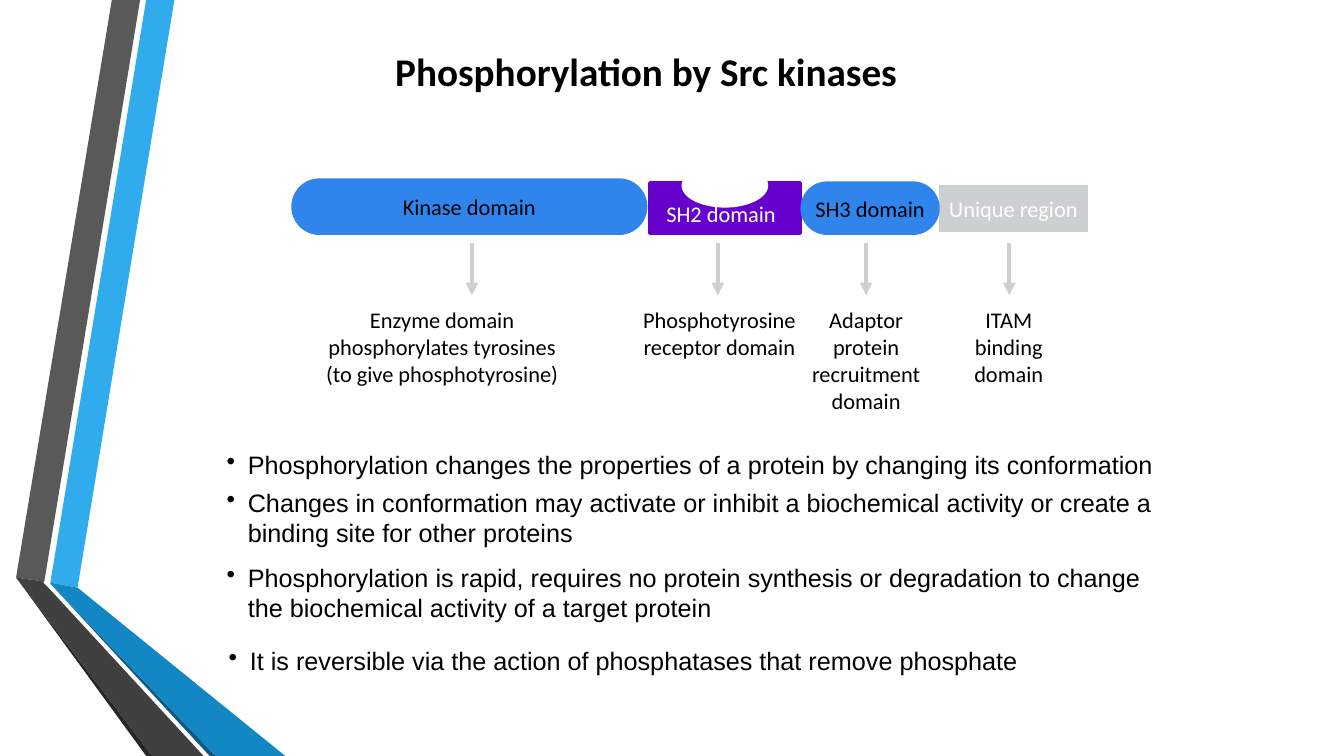
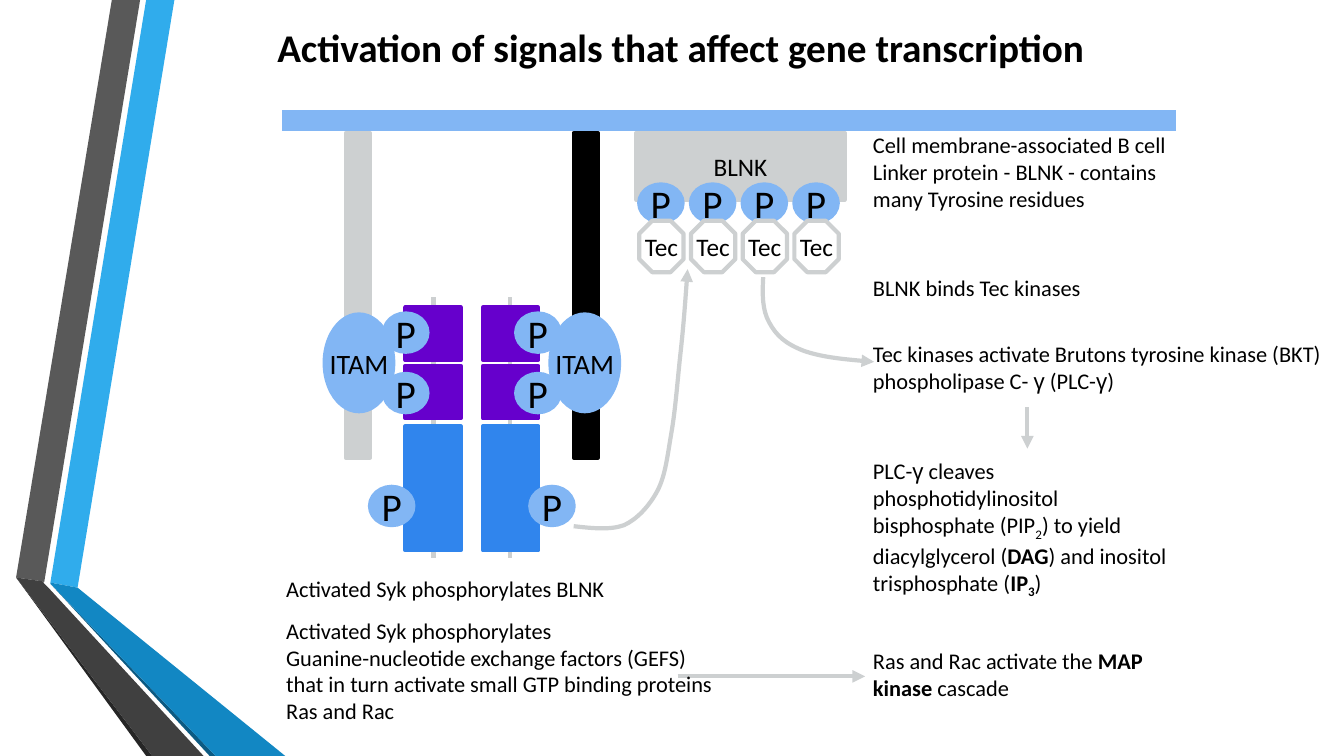
from pptx import Presentation, util as u
from pptx.dml.color import RGBColor
from pptx.enum import shapes as es, text as et
from pptx.oxml.ns import qn
from lxml import etree

BLACK = RGBColor(0, 0, 0)
WHITE = RGBColor(255, 255, 255)
BLUE = RGBColor(0x30, 0x85, 0xED)
SKY = RGBColor(0x82, 0xB6, 0xF4)
PURPLE = RGBColor(0x66, 0x00, 0xCC)
GREY = RGBColor(0xCD, 0xD0, 0xD1)
RECT, PILL, OVAL, OCTAGON = (
    es.MSO_SHAPE.RECTANGLE, es.MSO_SHAPE.ROUNDED_RECTANGLE,
    es.MSO_SHAPE.OVAL, es.MSO_SHAPE.OCTAGON)
LEFT, CENTER = et.PP_ALIGN.LEFT, et.PP_ALIGN.CENTER

RIBBONS = [
    (RGBColor(0x30, 0xAC, 0xEC), [(0.5, 5.78), (0.77, 5.83), (1.73, 0), (1.45, 0)]),
    (RGBColor(0x59, 0x59, 0x59), [(1.39, 0), (1.11, 0), (0.16, 5.73), (0.44, 5.77)]),
    (RGBColor(0x26, 0x26, 0x26), [(0.16, 5.73), (1.45, 7.5), (1.51, 7.5)]),
    (RGBColor(0x0C, 0x5A, 0x82), [(0.5, 5.79), (2.08, 7.5), (2.14, 7.5)]),
    (RGBColor(0x12, 0x87, 0xC3),
     [(0.5, 5.79), (2.14, 7.5), (2.83, 7.5), (0.77, 5.83), (0.5, 5.78)]),
    (RGBColor(0x40, 0x40, 0x40),
     [(2.02, 7.5), (0.48, 5.83), (0.43, 5.78), (0.44, 5.77), (0.16, 5.73), (1.51, 7.5)]),
]

DOMAINS = [
    (PILL, (2.91, 1.79, 3.49, 0.52), BLUE, BLUE, "Kinase domain", BLACK),
    (RECT, (6.45, 1.82, 1.48, 0.49), PURPLE, PURPLE, None, None),
    (OVAL, (6.76, 1.62, 0.86, 0.44), WHITE, None, None, None),
    (RECT, (9.29, 1.81, 1.52, 0.51), GREY, WHITE, "Unique region", WHITE),
    (PILL, (7.96, 1.82, 1.34, 0.49), BLUE, BLUE, "SH3 domain", BLACK),
]
ROLES = [
    (4.68, 2.5, 3.77, ["Enzyme domain", "phosphorylates tyrosines", "(to give phosphotyrosine)"]),
    (7.12, 6.21, 1.85, ["Phosphotyrosine", "receptor domain"]),
    (8.59, 7.9, 1.38, ["Adaptor protein recruitment domain"]),
    (10.01, 9.39, 1.23, ["ITAM binding domain"]),
]
BULLETS = [
    ((2.15, 4.41, 9.56, 1.09), [
        "Phosphorylation changes the properties of a protein by changing its conformation",
        "Changes in conformation may activate or inhibit a biochemical activity or create a "
        "binding site for other proteins"]),
    ((2.15, 5.53, 9.32, 0.7), [
        "Phosphorylation is rapid, requires no protein synthesis or degradation to change "
        "the biochemical activity of a target protein"]),
    ((2.17, 6.35, 8.92, 0.4), [
        "It is reversible via the action of phosphatases that remove phosphate"]),
]

GAMMA = ("γ", "greek")
STEPS = [
    ((8.56, 1.25, 3.25, 0.91), [
        "Cell membrane-associated B cell Linker protein - BLNK - contains many Tyrosine residues"]),
    ((8.56, 2.67, 3.25, 0.37), ["BLNK binds Tec kinases"]),
    ((8.56, 3.33, 4.83, 0.64), [
        "Tec kinases activate Brutons tyrosine kinase (BKT)",
        ["phospholipase C- ", GAMMA, " (PLC-", GAMMA, ")"]]),
    ((8.56, 4.49, 3.25, 1.44), [
        ["PLC-", GAMMA, " cleaves phosphotidylinositol bisphosphate (PIP", ("2", "sub"),
         ") to yield diacylglycerol (", ("DAG", "bold"), ") and inositol trisphosphate (",
         ("IP", "bold"), ("3", "bold sub"), ")"]]),
    ((8.56, 6.37, 2.98, 0.64), [
        ["Ras and Rac activate the ", ("MAP", "bold")], [("kinase ", "bold"), "cascade"]]),
    ((2.74, 5.66, 3.54, 0.37), ["Activated Syk phosphorylates BLNK"]),
    ((2.74, 6.07, 4.6, 1.17), [
        "Activated Syk phosphorylates", "Guanine-nucleotide exchange factors (GEFS)",
        "that in turn activate small GTP binding proteins", "Ras and Rac"]),
]
SYK_TO_BLNK = [
    (5.69, 5.22), (5.87, 5.24), (6.05, 5.26), (6.19, 5.21), (6.32, 5.15), (6.44, 5.02),
    (6.52, 4.87), (6.6, 4.72), (6.62, 4.52), (6.66, 4.29), (6.7, 4.06), (6.72, 3.77),
    (6.75, 3.5), (6.78, 3.23), (6.8, 2.95), (6.82, 2.67)]
TEC_TO_BKT = [
    (7.57, 2.75), (7.56, 2.92), (7.56, 3.08), (7.63, 3.2), (7.7, 3.33), (7.79, 3.41),
    (7.97, 3.48), (8.14, 3.54), (8.41, 3.57), (8.67, 3.59)]
SYK_BLOCKS = [(3.05, 0.52, PURPLE), (3.63, 0.52, PURPLE), (4.23, 1.23, BLUE)]
PHOSPHATES = [(3.81, 3.11), (3.81, 3.71), (3.67, 4.83)]
RECEPTOR_AXIS = 4.68


def inches(values):
    return [u.Inches(v) for v in values]


def write(shape, paragraphs, size=16, color=BLACK, align=LEFT, font="Calibri",
          bold=False, wrap=True, anchor=et.MSO_ANCHOR.TOP):
    frame = shape.text_frame
    frame.word_wrap, frame.vertical_anchor = wrap, anchor
    frame.auto_size = et.MSO_AUTO_SIZE.NONE
    for i, pieces in enumerate(paragraphs):
        para = frame.add_paragraph() if i else frame.paragraphs[0]
        para.alignment = align
        para.font.name, para.font.size, para.font.bold = font, u.Pt(size), bold
        para.font.color.rgb = color
        for piece in [pieces] if isinstance(pieces, str) else pieces:
            words, style = (piece, "") if isinstance(piece, str) else piece
            run = para.add_run()
            run.text = words
            if "bold" in style:
                run.font.bold = True
            if "greek" in style:
                run.font.name = "Arial"
            if "sub" in style:
                run._r.get_or_add_rPr().set("baseline", "-25000")
    return frame


def add_text(slide, box, paragraphs, **style):
    return write(slide.shapes.add_textbox(*inches(box)), paragraphs, **style)


def add_bullets(slide, box, items):
    for para in add_text(slide, box, items, size=18, font="Arial").paragraphs:
        para.space_before = u.Pt(5.4)
        props = para._p.get_or_add_pPr()
        props.set("marL", str(u.Inches(0.21)))
        props.set("indent", str(u.Inches(-0.21)))
        bullet = etree.Element(qn("a:buChar"), char="•")
        props.find(qn("a:defRPr")).addprevious(bullet)


def add_block(slide, kind, box, fill, edge=None, label=None, color=BLACK, size=16):
    block = slide.shapes.add_shape(kind, *inches(box))
    block.shadow.inherit = False
    if kind == PILL:
        block.adjustments[0] = 0.5
    block.fill.solid()
    block.fill.fore_color.rgb = fill
    if edge is None:
        block.line.fill.background()
    else:
        block.line.color.rgb, block.line.width = edge, u.Pt(3)
    if label:
        write(block, [label], size, color, CENTER, wrap=False, anchor=et.MSO_ANCHOR.MIDDLE)


def add_arrowhead(line):
    etree.SubElement(line.line._get_or_add_ln(), qn("a:tailEnd"), type="triangle")


def add_line(slide, start, end, color=GREY, width=3, arrow=True):
    line = slide.shapes.add_connector(es.MSO_CONNECTOR.STRAIGHT, *inches(start + end))
    line.line.color.rgb, line.line.width = color, u.Pt(width)
    etree.SubElement(line.element.spPr, qn("a:effectLst"))
    if arrow:
        add_arrowhead(line)


def add_outline(slide, points, close):
    first, *rest = [inches(p) for p in points]
    builder = slide.shapes.build_freeform(*first)
    builder.add_line_segments(rest, close=close)
    outline = builder.convert_to_shape()
    outline.shadow.inherit = False
    return outline


def add_curve(slide, points):
    curve = add_outline(slide, points, False)
    curve.fill.background()
    curve.line.color.rgb, curve.line.width = GREY, u.Pt(3)
    add_arrowhead(curve)
    segments = list(curve.element.iter(qn("a:lnTo")))
    for i in range(0, len(segments), 3):
        bezier = etree.Element(qn("a:cubicBezTo"))
        segments[i].addprevious(bezier)
        for segment in segments[i:i + 3]:
            bezier.append(segment[0])
            segment.getparent().remove(segment)


def decorate(layout, slide):
    for position, (color, points) in enumerate(RIBBONS, 2):
        ribbon = add_outline(slide, points, True)
        ribbon.fill.solid()
        ribbon.fill.fore_color.rgb = color
        ribbon.line.fill.background()
        layout.shapes.element.insert(position, ribbon.element)


def add_titled_slide(deck, title, box):
    slide = deck.slides.add_slide(deck.slide_layouts[5])
    heading = slide.shapes.title
    heading.left, heading.top, heading.width, heading.height = inches(box)
    write(heading, [title], 28, bold=True)
    return slide


def build_src_kinases(deck):
    slide = add_titled_slide(deck, "Phosphorylation by Src kinases", (3.82, 0.42, 6.11, 0.57))
    decorate(deck.slide_layouts[5], slide)
    for domain in DOMAINS:
        add_block(slide, *domain)
    add_text(slide, (6.51, 1.94, 1.42, 0.37), ["SH2 domain"], color=WHITE)
    for x, left, width, role in ROLES:
        add_line(slide, (x, 2.41), (x, 2.93))
        add_text(slide, (left, 2.99, width, 1.17), role, align=CENTER)
    for box, items in BULLETS:
        add_bullets(slide, box, items)


def add_receptor(slide, mirrored, rod):
    def block(kind, left, top, width, height, fill, label=None, size=28):
        x = 2 * RECEPTOR_AXIS - left - width if mirrored else left
        add_block(slide, kind, (x, top, width, height), fill, fill, label, size=size)

    stem = 2 * RECEPTOR_AXIS - 4.3 if mirrored else 4.3
    add_line(slide, (stem, 2.95), (stem, 5.54), arrow=False)
    for top, height, fill in SYK_BLOCKS:
        block(RECT, 4.02, top, 0.55, height, fill)
    block(RECT, 3.43, 1.32, 0.24, 3.22, rod)
    block(OVAL, 3.22, 3.12, 0.68, 0.96, SKY, "ITAM", 20)
    for left, top in PHOSPHATES:
        block(OVAL, left, top, 0.43, 0.38, SKY, "P")


def build_transcription(deck):
    slide = add_titled_slide(
        deck, "Activation of signals that affect gene transcription", (2.65, 0.18, 8.67, 0.57))
    add_block(slide, RECT, (6.31, 1.32, 2.07, 0.66), GREY, GREY, "BLNK", size=18)
    add_curve(slide, SYK_TO_BLNK)
    for i in range(4):
        x = 6.34 + 0.513 * i
        add_block(slide, OVAL, (x, 1.83, 0.43, 0.37), SKY, SKY, "P", size=28)
        add_block(slide, OCTAGON, (x, 2.19, 0.44, 0.51), WHITE, GREY, "Tec", size=18)
    add_curve(slide, TEC_TO_BKT)
    add_receptor(slide, True, BLACK)
    add_receptor(slide, False, GREY)
    add_line(slide, (2.8, 1.2), (11.66, 1.2), SKY, 15, arrow=False)
    add_line(slide, (10.19, 4.04), (10.19, 4.45))
    add_line(slide, (6.72, 6.71), (8.58, 6.71))
    for box, step in STEPS:
        add_text(slide, box, step)


def main():
    deck = Presentation()
    deck.slide_width, deck.slide_height = inches((13.33, 7.5))
    build_src_kinases(deck)
    build_transcription(deck)
    deck.save("out.pptx")


if __name__ == "__main__":
    main()
